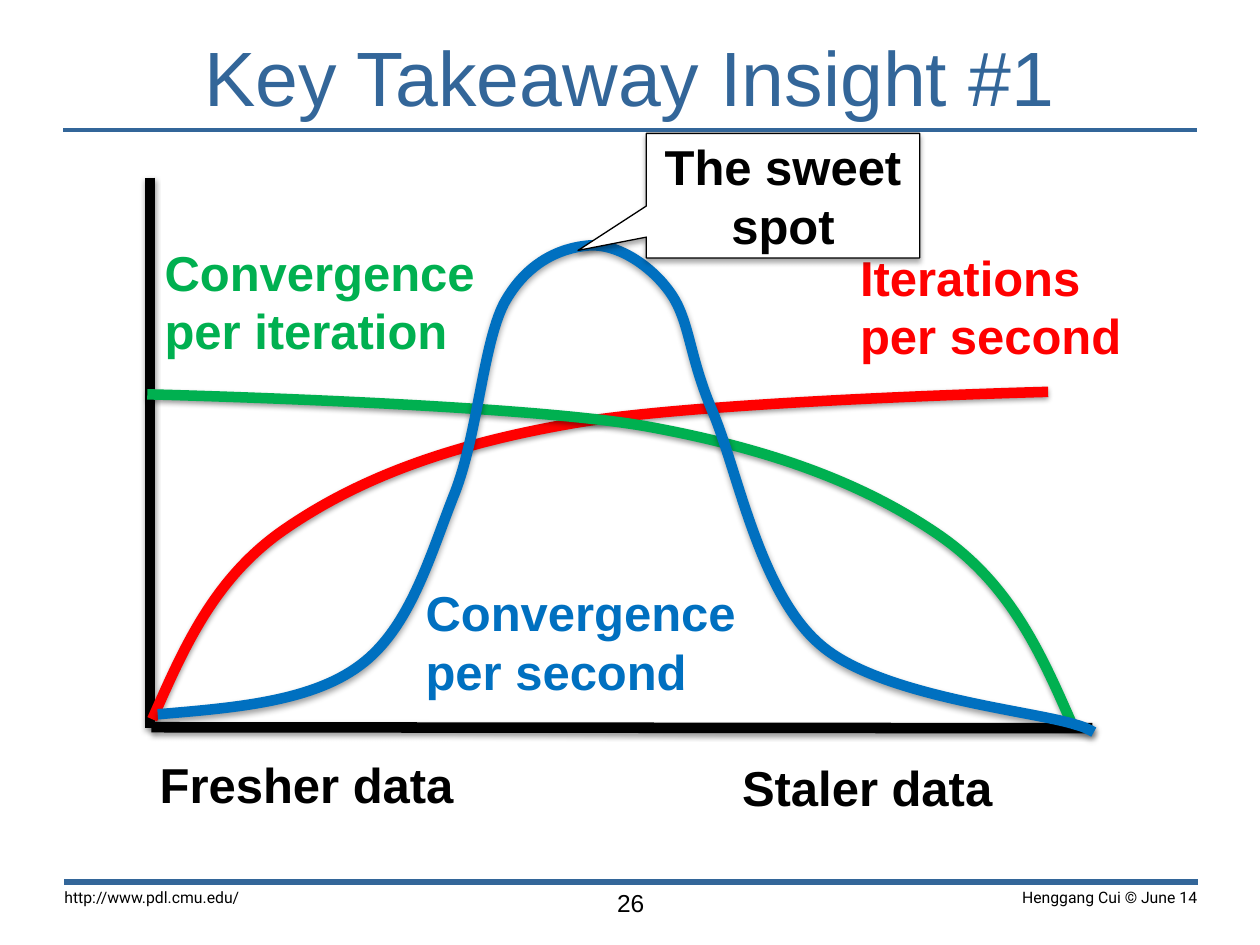
"""Build the slide that explains the sweet spot between fresh and stale data."""
from dataclasses import dataclass

from lxml import etree
from pptx import Presentation
from pptx import util as u
from pptx.dml.color import RGBColor
from pptx.enum import shapes, text
from pptx.oxml import ns

BLACK = RGBColor(0x00, 0x00, 0x00)
WHITE = RGBColor(0xFF, 0xFF, 0xFF)
STEEL = RGBColor(0x33, 0x66, 0x99)
RED = RGBColor(0xFF, 0x00, 0x00)
GREEN = RGBColor(0x00, 0xB0, 0x50)
BLUE = RGBColor(0x00, 0x70, 0xC0)
LEFT, CENTER, RIGHT = text.PP_ALIGN.LEFT, text.PP_ALIGN.CENTER, text.PP_ALIGN.RIGHT
Point = tuple[float, float]


@dataclass(frozen=True)
class Shadow:
    blur: int
    distance: int
    alpha: int


LINE_SHADOW = Shadow(40000, 20000, 38000)
CALLOUT_SHADOW = Shadow(40000, 23000, 35000)


@dataclass(frozen=True)
class Line:
    start: Point
    end: Point
    color: RGBColor
    weight: float
    shadow: Shadow | None = None


@dataclass(frozen=True)
class Curve:
    color: RGBColor
    start: Point
    controls: tuple[Point, ...]


@dataclass(frozen=True)
class Label:
    lines: tuple[str, ...]
    area: tuple[float, float, float, float]
    color: RGBColor = BLACK
    size: float = 28
    bold: bool = True
    font: str = "Arial"
    align: text.PP_ALIGN = LEFT
    wrap: bool = False
    anchor: text.MSO_ANCHOR = text.MSO_ANCHOR.TOP
    inset: Point = (0.25, 0.13)


LINES = (
    Line((1.27, 2.62), (24.13, 2.62), STEEL, 2),
    Line((1.3, 17.78), (24.16, 17.78), STEEL, 3.5),
    Line((3.02, 3.58), (3.02, 14.68), BLACK, 6, LINE_SHADOW),
    Line((22.02, 14.68), (3.05, 14.66), BLACK, 6, LINE_SHADOW),
)
CURVES = (
    Curve(RED, (3.07, 14.5), (
        (3.68, 13.13), (4.27, 11.73), (5.64, 10.74),
        (7.04, 9.75), (8.81, 9.02), (11.4, 8.56),
        (14, 8.08), (21.13, 7.9), (21.13, 7.9))),
    Curve(GREEN, (21.59, 14.55), (
        (20.98, 13.16), (20.37, 11.79), (18.95, 10.8),
        (17.5, 9.8), (15.67, 9.07), (13, 8.59),
        (10.34, 8.13), (2.97, 7.95), (2.97, 7.95))),
    Curve(BLUE, (3.18, 14.4), (
        (4.72, 14.27), (6.27, 14.15), (7.26, 13.41),
        (8.26, 12.67), (8.66, 11.23), (9.14, 10.01),
        (9.63, 8.81), (9.73, 6.96), (10.16, 6.12),
        (10.62, 5.28), (11.3, 5), (11.86, 4.95),
        (12.4, 4.9), (13.08, 5.31), (13.49, 5.87),
        (13.92, 6.45), (13.87, 7.16), (14.38, 8.33),
        (14.88, 9.53), (15.32, 11.96), (16.54, 13),
        (17.75, 14.05), (20.83, 14.33), (21.69, 14.61),
        (21.85, 14.65), (21.98, 14.72), (22.05, 14.76))),
)
FOOTER_INSET = (0.28, 0.15)
LABELS = (
    Label(("Key Takeaway Insight #1",), (0, 0.58, 25.4, 1.91), STEEL, 44, False,
          align=CENTER, wrap=True, anchor=text.MSO_ANCHOR.MIDDLE),
    Label(("Henggang Cui © June 14",), (17.96, 17.75, 6.45, 1.07), size=9, bold=False,
          font="Roboto", align=RIGHT, wrap=True, inset=FOOTER_INSET),
    Label(("http://www.pdl.cmu.edu/",), (1.02, 17.75, 6.35, 1.07), size=9, bold=False,
          font="Roboto", wrap=True, inset=FOOTER_INSET),
    Label(("26",), (10.24, 17.75, 4.95, 0.58), size=14, bold=False,
          align=CENTER, wrap=True, inset=FOOTER_INSET),
    Label(("Fresher data",), (2.97, 15.09, 6.5, 1.45)),
    Label(("Staler data",), (14.71, 15.14, 5.61, 1.45)),
    Label(("Iterations", "per second"), (17.09, 4.85, 5.84, 2.64), RED),
    Label(("Convergence", "per iteration"), (3.07, 4.75, 6.83, 2.64), GREEN),
    Label(("Convergence", "per second"), (8.33, 11.61, 7.11, 2.64), BLUE),
)
CALLOUT = Label(("The sweet spot",), (13.03, 2.69, 5.51, 2.51), align=CENTER,
                wrap=True, anchor=text.MSO_ANCHOR.MIDDLE)


def set_shadow(shape, shadow: Shadow | None) -> None:
    """Give a shape the stated shadow, or none at all."""
    effects = etree.SubElement(shape._element.spPr, ns.qn("a:effectLst"))
    if shadow:
        outer = etree.SubElement(effects, ns.qn("a:outerShdw"), blurRad=str(shadow.blur),
                                 dist=str(shadow.distance), dir="5400000", rotWithShape="0")
        color = etree.SubElement(outer, ns.qn("a:srgbClr"), val=str(BLACK))
        etree.SubElement(color, ns.qn("a:alpha"), val=str(shadow.alpha))


def set_line(shape, color: RGBColor, weight: float) -> None:
    """Set the colour and the weight of an outline."""
    shape.line.color.rgb = color
    shape.line.width = u.Pt(weight)


def draw_line(page, line: Line) -> None:
    """Draw a straight line."""
    ends = [u.Cm(value) for value in line.start + line.end]
    connector = page.shapes.add_connector(shapes.MSO_CONNECTOR.STRAIGHT, *ends)
    set_line(connector, line.color, line.weight)
    set_shadow(connector, line.shadow)


def draw_curve(page, curve: Curve) -> None:
    """Draw an open outline whose points form cubic segments."""
    builder = page.shapes.build_freeform(*map(u.Cm, curve.start))
    builder.add_line_segments([(u.Cm(x), u.Cm(y)) for x, y in curve.controls], close=False)
    shape = builder.convert_to_shape()
    shape.fill.background()
    set_line(shape, curve.color, 6)
    set_shadow(shape, LINE_SHADOW)
    outline = next(shape._element.iter(ns.qn("a:path")))
    steps = outline.findall(ns.qn("a:lnTo"))
    for first in range(0, len(steps), 3):
        segment = etree.SubElement(outline, ns.qn("a:cubicBezTo"))
        for step in steps[first:first + 3]:
            segment.append(step[0])
            outline.remove(step)


def write_label(box, label: Label) -> None:
    """Write the lines of a label into a shape."""
    frame = box.text_frame
    frame.word_wrap = label.wrap
    frame.vertical_anchor = label.anchor
    frame.margin_left = frame.margin_right = u.Cm(label.inset[0])
    frame.margin_top = frame.margin_bottom = u.Cm(label.inset[1])
    for index, line in enumerate(label.lines):
        para = frame.add_paragraph() if index else frame.paragraphs[0]
        para.alignment = label.align
        span = para.add_run()
        span.text = line
        span.font.name = label.font
        span.font.size = u.Pt(label.size)
        span.font.bold = label.bold
        span.font.color.rgb = label.color


def draw_callout(page, label: Label) -> None:
    """Draw the callout that points at the peak."""
    box = page.shapes.add_shape(shapes.MSO_SHAPE.RECTANGULAR_CALLOUT, *map(u.Cm, label.area))
    box.adjustments[0], box.adjustments[1] = -0.75, 0.44
    box.fill.solid()
    box.fill.fore_color.rgb = WHITE
    set_line(box, BLACK, 0.75)
    set_shadow(box, CALLOUT_SHADOW)
    write_label(box, label)


def main() -> None:
    """Build and save the deck."""
    deck = Presentation()
    deck.slide_width, deck.slide_height = u.Cm(25.4), u.Cm(19.05)
    page = deck.slides.add_slide(deck.slide_layouts[6])
    for line in LINES:
        draw_line(page, line)
    for curve in CURVES:
        draw_curve(page, curve)
    for label in LABELS:
        write_label(page.shapes.add_textbox(*map(u.Cm, label.area)), label)
    draw_callout(page, CALLOUT)
    deck.save("out.pptx")


if __name__ == "__main__":
    main()
